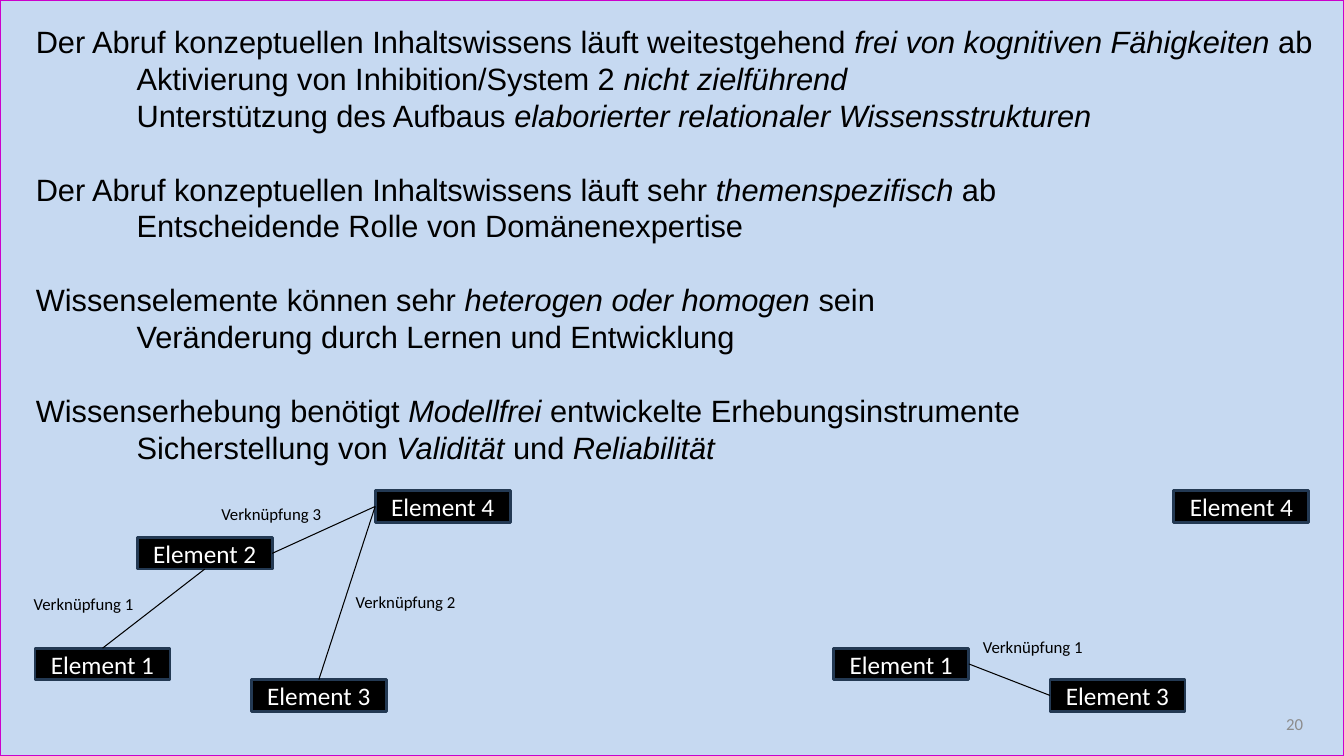
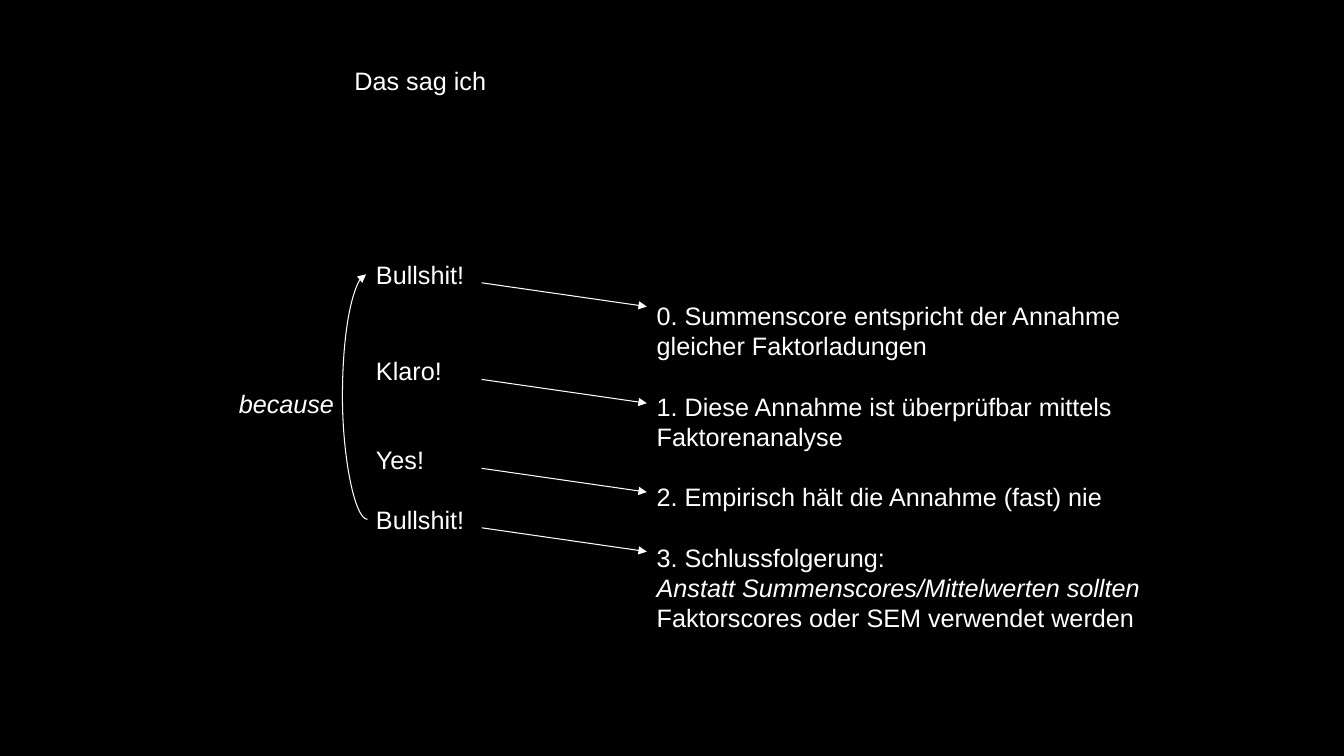
from pptx import Presentation
from pptx.dml.color import RGBColor
from pptx.enum import shapes, text
from pptx.oxml import ns
from pptx.util import Pt
from lxml import etree

COLORS = {
    "sky": "C6D9F1",
    "black": "000000",
    "white": "FFFFFF",
    "navy": "233953",
    "magenta": "CC00CC",
    "gray": "8C8C8C",
}
WIDTH, HEIGHT = 960, 540
TITLE_ONLY, BLANK = 5, 6
TOP, LEFT, BOTTOM, RIGHT = range(4)


def rgb(name):
    return RGBColor.from_string(COLORS[name])


class Deck:
    fonts = {
        "body": {"name": "Arial", "size": Pt(22)},
        "talk": {"name": "Arial", "size": Pt(18)},
        "node": {"name": "Calibri", "size": Pt(18)},
        "small": {"name": "Calibri", "size": Pt(12)},
    }

    def __init__(self):
        self.prs = Presentation()
        self.prs.slide_width, self.prs.slide_height = Pt(WIDTH), Pt(HEIGHT)

    def slide(self, layout, background, ink):
        self.s = self.prs.slides.add_slide(self.prs.slide_layouts[layout])
        self.s.background.fill.solid()
        self.s.background.fill.fore_color.rgb = rgb(background)
        self.ink = ink

    def set_text(self, sp, paragraphs, font, color=None, align="LEFT", anchor="TOP"):
        tf = sp.text_frame
        frame = {
            "word_wrap": True,
            "auto_size": text.MSO_AUTO_SIZE.NONE,
            "vertical_anchor": text.MSO_ANCHOR[anchor],
            "margin_left": Pt(7.2),
            "margin_right": Pt(7.2),
            "margin_top": Pt(3.6),
            "margin_bottom": Pt(3.6),
        }
        for key, value in frame.items():
            setattr(tf, key, value)
        line = Pt(self.fonts[font]["size"].pt * 1.2)
        for i, (content, indent, gap) in enumerate(paragraphs):
            p = tf.paragraphs[0] if i == 0 else tf.add_paragraph()
            if indent:
                p._p.get_or_add_pPr().set("marL", str(Pt(indent)))
            p.alignment = text.PP_ALIGN[align]
            p.line_spacing = line
            p.space_before = line if gap else Pt(0)
            for j, part in enumerate(content.split("*")):
                if part:
                    r = p.add_run()
                    r.text = part
                    for key, value in self.fonts[font].items():
                        setattr(r.font, key, value)
                    r.font.italic = j % 2 == 1
                    r.font.color.rgb = rgb(color or self.ink)

    def title(self, content, *box):
        sp = self.s.shapes.title
        for key, value in zip(("left", "top", "width", "height"), box):
            setattr(sp, key, Pt(value))
        self.set_text(sp, [(content, 0, False)], "talk")

    def paragraphs(self, content, font, *box, **style):
        sp = self.s.shapes.add_textbox(*map(Pt, box))
        self.set_text(sp, content, font, **style)

    def label(self, content, font, *box, **style):
        self.paragraphs([(content, 0, False)], font, *box, **style)

    def rect(self, box, line, fill=None):
        sp = self.s.shapes.add_shape(shapes.MSO_SHAPE.RECTANGLE, *map(Pt, box))
        sp.shadow.inherit = False
        if fill:
            sp.fill.solid()
            sp.fill.fore_color.rgb = rgb(fill)
        else:
            sp.fill.background()
        sp.line.color.rgb = rgb(line)
        sp.line.width = Pt(2)
        return sp

    def node(self, content, left, top):
        sp = self.rect((left, top, 96.5, 22.5), "navy", "black")
        self.set_text(sp, [(content, 0, False)], "node", "white", "CENTER", "MIDDLE")
        return sp

    def connector(self, start=(0, 0), end=(0, 0), kind="STRAIGHT", arrow=False):
        c = self.s.shapes.add_connector(
            shapes.MSO_CONNECTOR[kind], *map(Pt, (*start, *end)))
        c.line.color.rgb = rgb(self.ink)
        c.line.width = Pt(0.75)
        properties = c._element.spPr
        if arrow:
            tail = etree.SubElement(properties.find(ns.qn("a:ln")), ns.qn("a:tailEnd"))
            tail.set("type", "triangle")
        etree.SubElement(properties, ns.qn("a:effectLst"))
        return c

    def link(self, start, start_site, end, end_site):
        c = self.connector()
        c.begin_connect(start, start_site)
        c.end_connect(end, end_site)

    def curve(self, start, end, bend):
        c = self.connector(start, end, "CURVE", arrow=True)
        geometry = c._element.spPr.find(ns.qn("a:prstGeom"))
        guides = geometry.find(ns.qn("a:avLst"))
        if guides is None:
            guides = etree.SubElement(geometry, ns.qn("a:avLst"))
        guide = etree.SubElement(guides, ns.qn("a:gd"))
        guide.set("name", "adj1")
        guide.set("fmla", f"val {bend * 100000}")


def network(deck, places, links, labels, shift=0):
    nodes = {n: deck.node(f"Element {n}", places[n][0] + shift, places[n][1])
             for n in places}
    for start, start_site, end, end_site in links:
        deck.link(nodes[start], start_site, nodes[end], end_site)
    for n, left, top in labels:
        deck.label(f"Verknüpfung {n}", "small", left, top, 138, 22)


def knowledge_slide(deck):
    deck.slide(BLANK, "sky", "black")
    deck.rect((0, 0, WIDTH, HEIGHT), "magenta")
    places = {1: (25, 463), 2: (98, 384), 3: (179.5, 485.5), 4: (268, 350.5)}
    network(deck, places,
            [(1, TOP, 2, BOTTOM), (3, TOP, 4, LEFT), (2, RIGHT, 4, LEFT)],
            [(1, 17, 420.5), (2, 247, 419), (3, 151, 356.5)])
    network(deck, {n: places[n] for n in (1, 3, 4)},
            [(1, RIGHT, 3, LEFT)], [(1, 695, 451.5)], shift=570.5)
    theses = [
        ("Der Abruf konzeptuellen Inhaltswissens läuft weitestgehend "
         "*frei von kognitiven Fähigkeiten* ab",
         "Aktivierung von Inhibition/System 2 *nicht zielführend*",
         "Unterstützung des Aufbaus *elaborierter relationaler Wissensstrukturen*"),
        ("Der Abruf konzeptuellen Inhaltswissens läuft sehr *themenspezifisch* ab",
         "Entscheidende Rolle von Domänenexpertise"),
        ("Wissenselemente können sehr *heterogen oder homogen* sein",
         "Veränderung durch Lernen und Entwicklung"),
        ("Wissenserhebung benötigt *Modellfrei *entwickelte Erhebungsinstrumente",
         "Sicherstellung von *Validität* und *Reliabilität*"),
    ]
    lines = [(line, 72 if j else 0, i > 0 and j == 0)
             for i, thesis in enumerate(theses) for j, line in enumerate(thesis)]
    deck.paragraphs(lines, "body", 18.5, 12.5, 947.5, 353.5)
    deck.label("20", "small", 714, 502.5, 224, 29,
               color="gray", align="RIGHT", anchor="MIDDLE")


def argument_slide(deck):
    deck.slide(TITLE_ONLY, "black", "white")
    deck.title("Das sag ich", 246, 43, 124, 29)
    deck.paragraphs([
        ("0. Summenscore entspricht der Annahme gleicher Faktorladungen", 0, False),
        ("1. Diese Annahme ist überprüfbar mittels Faktorenanalyse", 0, True),
        ("2. Empirisch hält die Annahme (fast) nie", 0, True),
        ("3. Schlussfolgerung:", 0, True),
        ("*Anstatt Summenscores/Mittelwerten sollten*", 0, False),
        ("Faktorscores oder SEM verwendet werden", 0, False),
    ], "talk", 462, 211, 384, 247)
    replies = [("Bullshit!", 181.5), ("Klaro!", 250.5), ("Yes!", 314), ("Bullshit!", 356.5)]
    for reply, top in replies:
        deck.label(reply, "talk", 261.5, top, 108, 29)
        deck.connector((344, top + 20.5), (462, top + 37.5), arrow=True)
    deck.curve((262.5, 371), (261.5, 196), 18)
    deck.label("*because*", "talk", 163.5, 273.5, 108, 29)


def main():
    deck = Deck()
    knowledge_slide(deck)
    argument_slide(deck)
    deck.prs.save("out.pptx")


if __name__ == "__main__":
    main()
